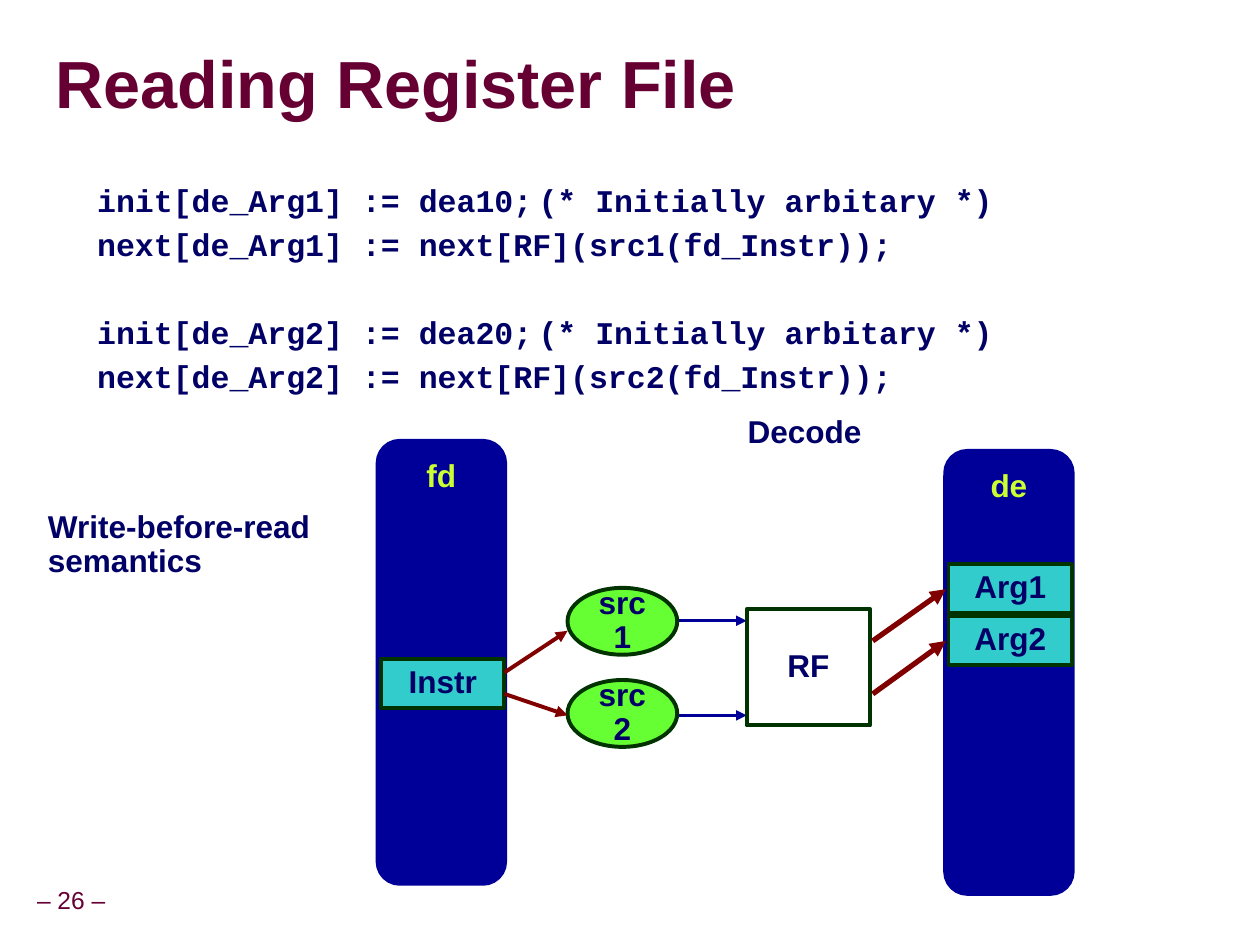
from dataclasses import dataclass

from lxml.etree import SubElement
from pptx import Presentation
from pptx.dml.color import RGBColor
from pptx.enum.shapes import MSO_CONNECTOR as Connector, MSO_SHAPE as Shape
from pptx.enum.text import MSO_ANCHOR as Anchor, MSO_AUTO_SIZE as AutoSize, PP_ALIGN as Align
from pptx.oxml.ns import qn
from pptx.util import Inches, Pt


@dataclass(frozen=True)
class Theme:
    maroon: str = "660033"
    shadow: str = "969696"
    ink: str = "000066"
    register: str = "000099"
    register_text: str = "CCFF33"
    field: str = "33CCCC"
    function: str = "66FF33"
    outline: str = "003300"
    flow: str = "800000"
    white: str = "FFFFFF"
    sans: str = "Arial"
    mono: str = "Courier New"
    title_size: int = 38
    text_size: int = 18
    number_size: int = 14


THEME = Theme()


@dataclass(frozen=True)
class Box:
    left: float
    top: float
    width: float
    height: float

    def lengths(self):
        return [Inches(n) for n in (self.left, self.top, self.width, self.height)]

    def inner(self, left, top, width, height):
        return Box(self.left + left, self.top + top, width, height)


def place(shape, box):
    shape.left, shape.top, shape.width, shape.height = box.lengths()


def set_frame(frame, anchor=Anchor.TOP, inset=0.05, wrap=True):
    frame.auto_size = AutoSize.NONE
    frame.word_wrap = wrap
    frame.vertical_anchor = anchor
    frame.margin_left = frame.margin_right = Inches(inset)
    frame.margin_top = frame.margin_bottom = Inches(min(inset, 0.05))


def style(para, size=THEME.text_size, color=THEME.ink, font=THEME.sans,
          bold=True, align=Align.LEFT, spacing=0.9):
    para.alignment = align
    para.line_spacing = spacing
    para.font.size = Pt(size)
    para.font.name = font
    para.font.bold = bold
    para.font.color.rgb = RGBColor.from_string(color)


def add_label(page, box, text, wrap=True, **look):
    frame = page.shapes.add_textbox(*box.lengths()).text_frame
    set_frame(frame, wrap=wrap)
    frame.text = text
    style(frame.paragraphs[0], **look)


def add_block(page, kind, box, text, fill, line=THEME.outline, line_width=2.25,
              color=THEME.ink, anchor=Anchor.MIDDLE, inset=0.05):
    block = page.shapes.add_shape(kind, *box.lengths())
    block.shadow.inherit = False
    block.fill.solid()
    block.fill.fore_color.rgb = RGBColor.from_string(fill)
    block.line.color.rgb = RGBColor.from_string(line)
    block.line.width = Pt(line_width)
    set_frame(block.text_frame, anchor, inset)
    block.text_frame.text = text
    style(block.text_frame.paragraphs[0], color=color, align=Align.CENTER)
    return block


def add_arrow(page, box, start, end, color, width):
    ends = [Inches(n) for x, y in (start, end) for n in (box.left + x, box.top + y)]
    arrow = page.shapes.add_connector(Connector.STRAIGHT, *ends)
    arrow.line.color.rgb = RGBColor.from_string(color)
    arrow.line.width = Pt(width)
    properties = arrow._element.spPr
    SubElement(properties.find(qn("a:ln")), qn("a:tailEnd"), type="triangle")
    SubElement(properties, qn("a:effectLst"))


def add_title(page, box, text):
    title = page.shapes.title
    place(title, box)
    set_frame(title.text_frame, Anchor.MIDDLE, inset=0)
    para = title.text_frame.paragraphs[0]
    style(para, size=THEME.title_size, color=THEME.maroon, spacing=0.87)
    span = para.add_run()
    span.text = text
    # Drop shadow behind the letters
    effects = SubElement(span._r.get_or_add_rPr(), qn("a:effectLst"))
    shadow = SubElement(effects, qn("a:outerShdw"), dist="38100", dir="2700000")
    SubElement(shadow, qn("a:srgbClr"), val=THEME.shadow)


def add_code(page, box, groups):
    body = page.placeholders[1]
    place(body, box)
    frame = body.text_frame
    set_frame(frame)
    frame.margin_left = Inches(0.35)
    frame.text = "\n".join(line for group in groups for line in group)
    group_starts = {len(group) for group in groups[:-1]}
    for index, para in enumerate(frame.paragraphs):
        style(para, font=THEME.mono)
        para.space_before = Pt(30.7 if index in group_starts else 5.6)
        properties = para._p.get_or_add_pPr()
        properties.set("marL", "0")
        properties.set("indent", "0")
        SubElement(properties, qn("a:buNone"))
        # Comments line up at one tab stop
        tabs = SubElement(properties, qn("a:tabLst"))
        SubElement(tabs, qn("a:tab"), pos=str(Inches(4.05)), algn="l")
        # Default run properties close the list
        properties.append(properties.find(qn("a:defRPr")))


def add_register(page, box, name, fields):
    bar = add_block(page, Shape.ROUNDED_RECTANGLE, box, name, THEME.register,
                    THEME.register, 3, THEME.register_text, Anchor.TOP)
    bar.adjustments[0] = 0.17
    bar.text_frame.margin_top = Inches(0.1)
    for field, top in fields:
        add_block(page, Shape.RECTANGLE, box.inner(0.02, top, 0.98, 0.39),
                  field, THEME.field)


def add_decode_diagram(page, box):
    # Operand selectors feed the register file
    for y in (1.42, 2.17):
        add_arrow(page, box, (2.33, y), (2.92, y), THEME.register, 1.5)

    # Pipeline registers
    add_register(page, box.inner(0, 0, 1, 3.5), "fd", [("Instr", 1.72)])
    add_register(page, box.inner(4.5, 0.08, 1, 3.5), "de",
                 [("Arg2", 1.3), ("Arg1", 0.89)])

    # Logic of the decode stage
    add_block(page, Shape.RECTANGLE, box.inner(2.92, 1.33, 0.98, 0.92), "RF", THEME.white)
    add_label(page, box.inner(2.88, -0.25, 1, 0.37), "Decode", wrap=False,
              align=Align.CENTER)
    for index in range(2):
        add_block(page, Shape.OVAL, box.inner(1.5, 1.16 + 0.73 * index, 0.87, 0.53),
                  f"src{index + 1}", THEME.function, inset=0.06)

    # Data flow
    for start, end, width in (
        ((1, 1.83), (1.5, 1.5), 2.25),
        ((1, 2), (1.5, 2.17), 2.25),
        ((3.92, 2), (4.5, 1.58), 3),
        ((3.92, 1.58), (4.5, 1.17), 3),
    ):
        add_arrow(page, box, start, end, THEME.flow, width)


def main():
    deck = Presentation()
    deck.slide_width, deck.slide_height = Inches(9.99), Inches(7.49)
    page = deck.slides.add_slide(deck.slide_layouts[1])

    add_title(page, Box(0.44, 0.27, 9.52, 0.85), "Reading Register File")
    code = [
        (f"init[de_Arg{n}] := dea{n}0;\t(* Initially arbitary *)",
         f"next[de_Arg{n}] := next[RF](src{n}(fd_Instr));")
        for n in (1, 2)
    ]
    add_code(page, Box(0.42, 1.42, 8.67, 1.76), code)
    add_decode_diagram(page, Box(3, 3.5, 5.5, 3.58))
    add_label(page, Box(0.33, 4, 2.58, 0.64), "Write-before-read semantics")
    add_label(page, Box(-0.09, 6.99, 1.31, 0.31), "– 26 –", wrap=False,
              size=THEME.number_size, color=THEME.maroon, bold=False,
              align=Align.CENTER)

    deck.save("out.pptx")


if __name__ == "__main__":
    main()
